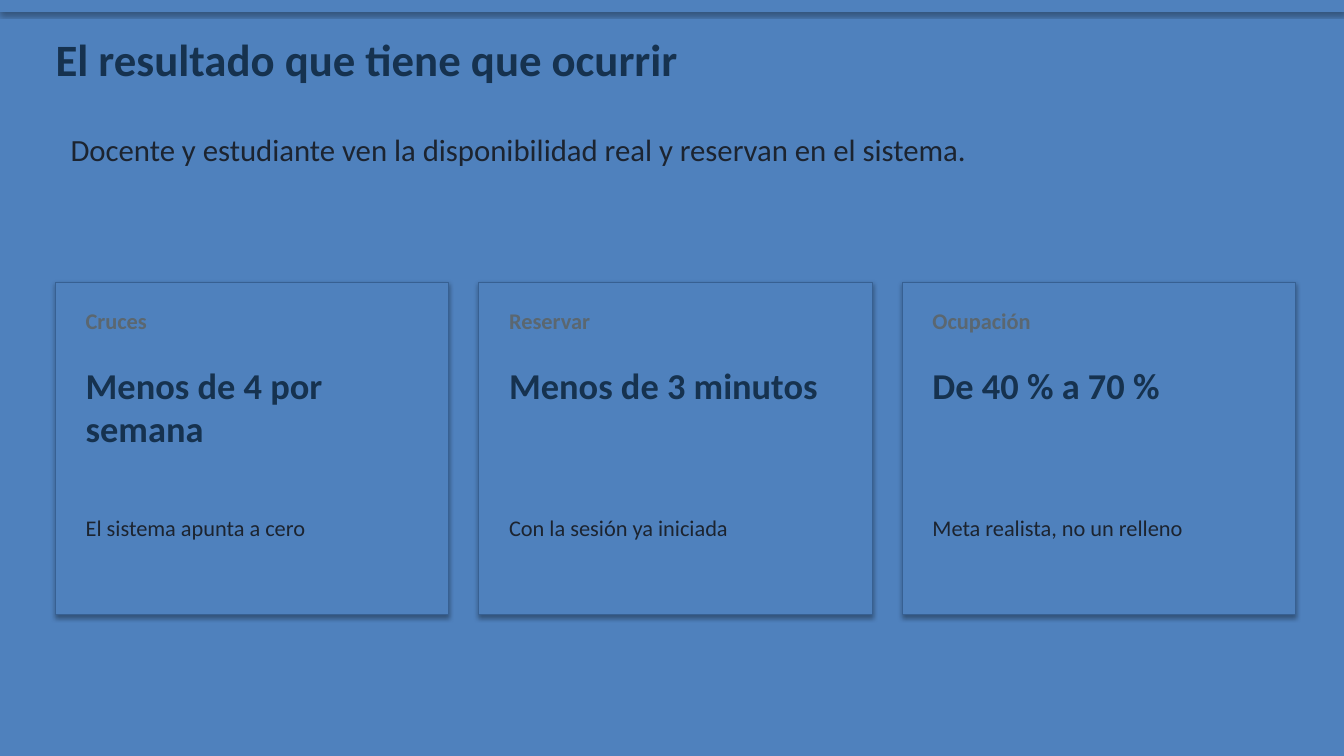
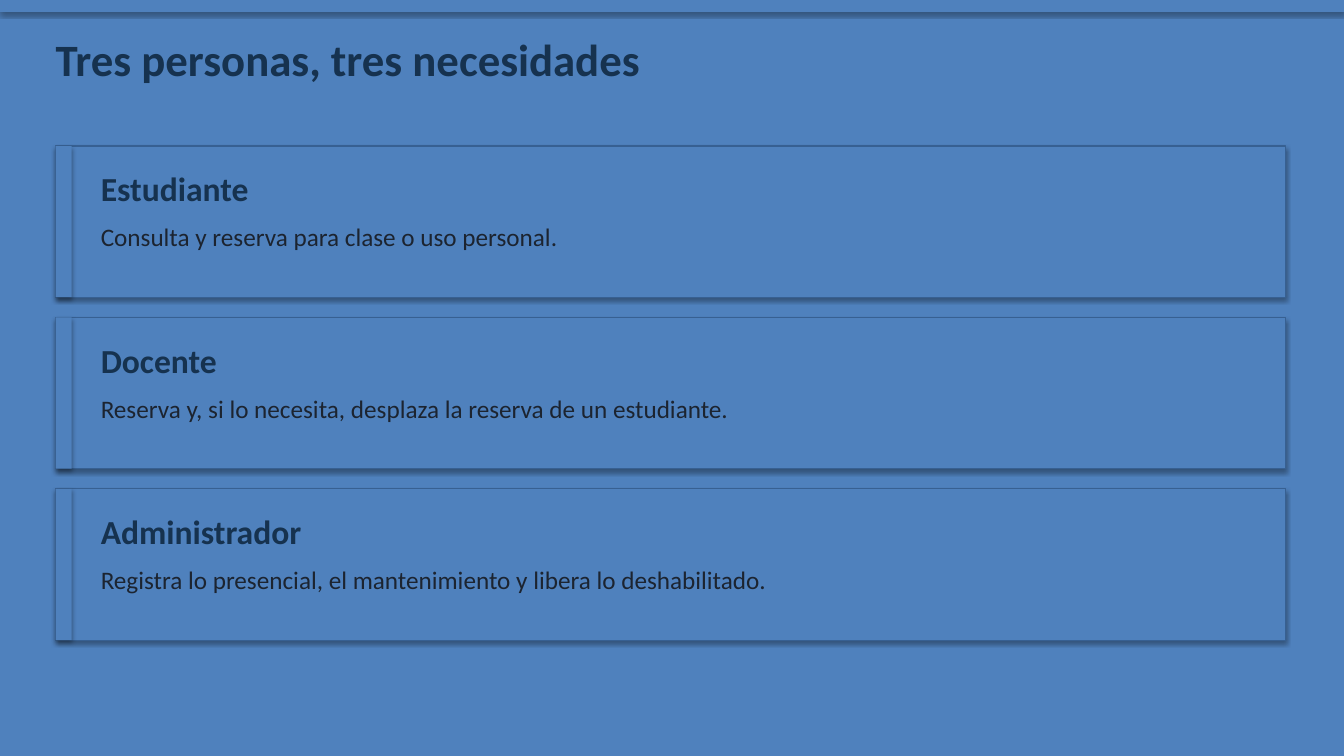
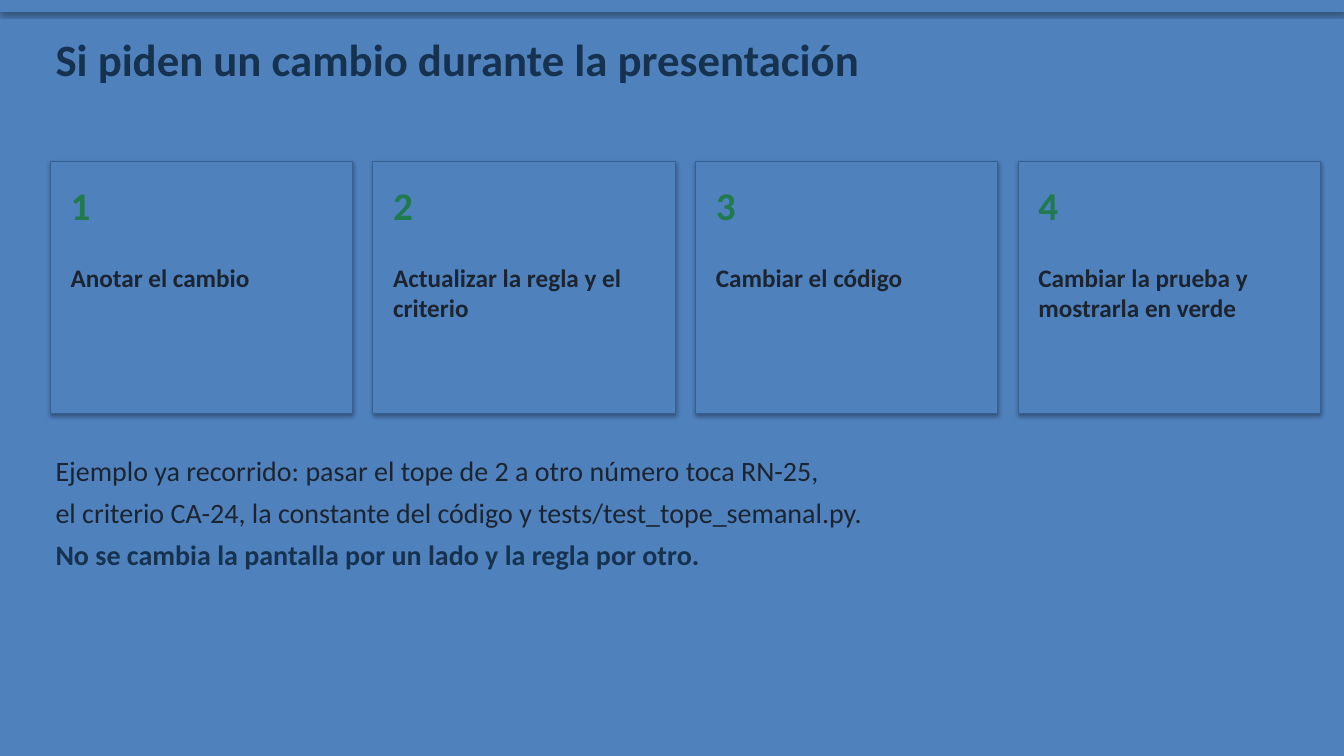
from dataclasses import dataclass
from typing import NamedTuple

from pptx import Presentation
from pptx import util as u
from pptx.dml.color import RGBColor
from pptx.enum import shapes, text

# Palette
BLUE, EDGE = "4F81BD", "376092"
NAVY, INK, GRAY, GREEN = "16324F", "1C2430", "5B6770", "1F7A4D"

# Frame shared by all slides, in cm
WIDE, HIGH = 33.87, 19.05
LEFT, SPAN = 1.4, 30.99


class Box(NamedTuple):
    x: float
    y: float
    w: float
    h: float

    def place(self) -> list:
        return [u.Cm(side) for side in self]


@dataclass(frozen=True)
class Style:
    size: int
    tint: str
    bold: bool = False


@dataclass(frozen=True)
class Card:
    label: str
    goal: str
    note: str


@dataclass(frozen=True)
class Role:
    name: str
    need: str


TITLE = Style(32, NAVY, True)
LEAD = Style(22, INK)
LABEL = Style(16, GRAY, True)
GOAL = Style(26, NAVY, True)
NOTE = Style(16, INK)
NAME = Style(24, NAVY, True)
NEED = Style(18, INK)
COUNT = Style(28, GREEN, True)
STEP = Style(18, INK, True)
BODY = Style(20, INK)
CLOSE = Style(20, NAVY, True)

FRAME = {
    "word_wrap": True,
    "auto_size": text.MSO_AUTO_SIZE.NONE,
    "vertical_anchor": text.MSO_ANCHOR.TOP,
    "margin_left": 0,
    "margin_top": 0,
    "margin_right": 0,
    "margin_bottom": 0,
}

CARDS = [
    Card("Cruces", "Menos de 4 por semana", "El sistema apunta a cero"),
    Card("Reservar", "Menos de 3 minutos", "Con la sesión ya iniciada"),
    Card("Ocupación", "De 40 % a 70 %", "Meta realista, no un relleno"),
]
ROLES = [
    Role("Estudiante", "Consulta y reserva para clase o uso personal."),
    Role("Docente", "Reserva y, si lo necesita, desplaza la reserva de un estudiante."),
    Role("Administrador", "Registra lo presencial, el mantenimiento y libera lo deshabilitado."),
]
STEPS = [
    "Anotar el cambio",
    "Actualizar la regla y el criterio",
    "Cambiar el código",
    "Cambiar la prueba y mostrarla en verde",
]


def paint(target, tint: str) -> None:
    """Set the colour of a colour format."""
    target.rgb = RGBColor.from_string(tint)


def panel(slide, box: Box, edge: bool = False) -> None:
    """Draw a blue rectangle with the theme shadow."""
    shape = slide.shapes.add_shape(shapes.MSO_SHAPE.RECTANGLE, *box.place())
    shape.fill.solid()
    paint(shape.fill.fore_color, BLUE)
    if edge:
        paint(shape.line.color, EDGE)
        shape.line.width = u.Pt(0.75)
    else:
        shape.line.fill.background()


def write(slide, box: Box, *lines: tuple[str, Style]) -> None:
    """Write one paragraph per line in a box without margins."""
    frame = slide.shapes.add_textbox(*box.place()).text_frame
    for key, value in FRAME.items():
        setattr(frame, key, value)
    for i, (words, style) in enumerate(lines):
        para = frame.add_paragraph() if i else frame.paragraphs[0]
        para.space_after = u.Pt(6)
        run = para.add_run()
        run.text = words
        looks = {"name": "Calibri", "size": u.Pt(style.size), "bold": style.bold}
        for key, value in looks.items():
            setattr(run.font, key, value)
        paint(run.font.color, style.tint)


def start(deck, title: str):
    """Add a slide with backdrop, top band and title."""
    slide = deck.slides.add_slide(deck.slide_layouts[6])
    panel(slide, Box(0, 0, WIDE, HIGH))
    panel(slide, Box(0, 0, WIDE, 0.3))
    write(slide, Box(LEFT, 0.81, SPAN, 1.78), (title, TITLE))
    return slide


def goals(deck) -> None:
    slide = start(deck, "El resultado que tiene que ocurrir")
    lead = "Docente y estudiante ven la disponibilidad real y reservan en el sistema."
    write(slide, Box(1.78, 3.3, 30.48, 2.79), (lead, LEAD))
    wide, gap, pad = 9.91, 0.76, 0.76
    for i, card in enumerate(CARDS):
        x = LEFT + i * (wide + gap)
        panel(slide, Box(x, 7.11, wide, 8.38), edge=True)
        rows = [
            (7.75, 1.02, card.label, LABEL),
            (9.14, 3.3, card.goal, GOAL),
            (12.95, 1.78, card.note, NOTE),
        ]
        for y, high, words, style in rows:
            write(slide, Box(x + pad, y, wide - 2 * pad, high), (words, style))


def roles(deck) -> None:
    slide = start(deck, "Tres personas, tres necesidades")
    high, gap = 3.81, 0.51
    for i, role in enumerate(ROLES):
        y = 3.68 + i * (high + gap)
        panel(slide, Box(LEFT, y, SPAN, high), edge=True)
        panel(slide, Box(LEFT, y, 0.41, high))
        write(slide, Box(2.54, y + 0.56, 27.94, 1.14), (role.name, NAME))
        write(slide, Box(2.54, y + 1.9, 27.94, 1.27), (role.need, NEED))


def steps(deck) -> None:
    slide = start(deck, "Si piden un cambio durante la presentación")
    wide, gap, pad = 7.62, 0.51, 0.51
    for i, step in enumerate(STEPS):
        x = 1.27 + i * (wide + gap)
        panel(slide, Box(x, 4.06, wide, 6.35), edge=True)
        write(slide, Box(x + pad, 4.57, wide - 2 * pad, 1.78), (str(i + 1), COUNT))
        write(slide, Box(x + pad, 6.6, wide - 2 * pad, 3.05), (step, STEP))
    write(
        slide,
        Box(LEFT, 11.43, SPAN, 5.59),
        ("Ejemplo ya recorrido: pasar el tope de 2 a otro número toca RN-25,", BODY),
        ("el criterio CA-24, la constante del código y tests/test_tope_semanal.py.", BODY),
        ("No se cambia la pantalla por un lado y la regla por otro.", CLOSE),
    )


def main() -> None:
    deck = Presentation()
    deck.slide_width, deck.slide_height = u.Cm(WIDE), u.Cm(HIGH)
    for build in (goals, roles, steps):
        build(deck)
    deck.save("out.pptx")


if __name__ == "__main__":
    main()
